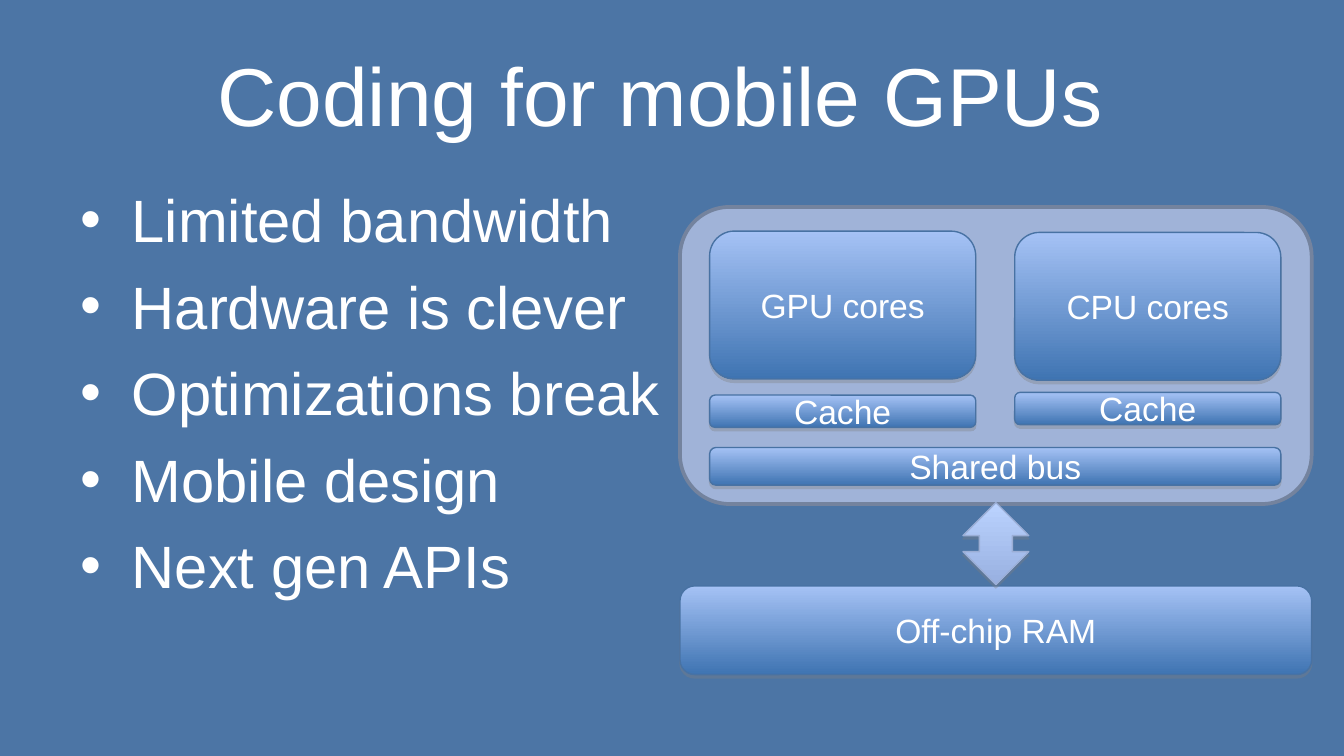
import pptx
import pptx.dml.color
import pptx.enum.shapes
import pptx.enum.text
import pptx.util
import lxml.etree

Inches, Pt = pptx.util.Inches, pptx.util.Pt
Color = pptx.dml.color.RGBColor.from_string
Shape = pptx.enum.shapes.MSO_SHAPE
Text = pptx.enum.text

TITLE = "Coding for mobile GPUs "
BULLETS = ["Limited bandwidth", "Hardware is clever", "Optimizations break",
           "Mobile design", "Next gen APIs"]

CHIP = (5.06, 1.54, 4.7, 2.21)
PADDING, BUS_WIDTH, CORE_WIDTH = 0.22, 4.25, 1.98
LEFT = CHIP[0] + PADDING
RIGHT = LEFT + BUS_WIDTH - CORE_WIDTH
BLOCKS = [
    ("GPU cores", (LEFT, 1.72, CORE_WIDTH, 1.1)),
    ("CPU cores", (RIGHT, 1.73, CORE_WIDTH, 1.1)),
    ("Cache", (LEFT, 2.94, CORE_WIDTH, 0.24)),
    ("Cache", (RIGHT, 2.92, CORE_WIDTH, 0.24)),
    ("Shared bus", (LEFT, 3.33, BUS_WIDTH, 0.28)),
    ("Off-chip RAM", (CHIP[0], 4.36, CHIP[2], 0.66)),
]
ARROW_WIDTH, ARROW_HEIGHT = 0.49, 0.61
ARROW = (CHIP[0] + (CHIP[2] - ARROW_WIDTH) / 2, 3.74, ARROW_WIDTH, ARROW_HEIGHT)

THEME = {
    "font": "Arial", "text": "FFFFFF", "background": "4C75A5",
    "title": 44, "body": 32, "label": 18,
    "chip": (["A0B3D8"], "74839E", 2),
    "block": (["A5C2F5", "3F74B2"], "4872A3", 0.75),
    "arrow": (["BBD3FF", "98B0E0"], "9BAED5", 0.75),
}
SHADOW = (
    '<a:outerShdw xmlns:a="http://schemas.openxmlformats.org/drawingml/2006/main" '
    'blurRad="0" dist="22860" dir="5400000" algn="ctr" rotWithShape="0">'
    '<a:srgbClr val="808080"><a:alpha val="35000"/></a:srgbClr></a:outerShdw>'
)


def place(shape, frame):
    for name, value in zip(("left", "top", "width", "height"), frame):
        setattr(shape, name, Inches(value))


def set_format(target, values):
    for name, value in values.items():
        setattr(target, name, value)


def write(shape, lines, size, anchor, alignment, gap=0, indent=0):
    set_format(shape.text_frame, {"word_wrap": True,
                                  "auto_size": Text.MSO_AUTO_SIZE.NONE,
                                  "vertical_anchor": anchor})
    shape.text_frame.text = "\n".join(lines)
    for index, para in enumerate(shape.text_frame.paragraphs):
        set_format(para, {"space_before": Pt(gap if index else 0),
                          "alignment": alignment})
        if indent:
            properties = para._p.get_or_add_pPr()
            properties.set("marL", str(Inches(indent)))
            properties.set("indent", str(-Inches(indent)))
        for span in para.runs:
            set_format(span.font, {"name": THEME["font"], "size": Pt(size)})
            span.font.color.rgb = Color(THEME["text"])


def add_part(page, kind, frame, style, shadow=True):
    shape = page.shapes.add_shape(kind, *map(Inches, frame))
    colors, line_color, line_width = THEME[style]
    if len(colors) == 1:
        shape.fill.solid()
        shape.fill.fore_color.rgb = Color(colors[0])
    else:
        shape.fill.gradient()
        shape.fill.gradient_angle = 270
        for stop, position, color in zip(shape.fill.gradient_stops, (0, 1), colors):
            stop.position = position
            stop.color.rgb = Color(color)
    shape.line.color.rgb = Color(line_color)
    shape.line.width = Pt(line_width)
    shape.shadow.inherit = False
    if shadow:
        effects = shape._element.spPr.find(pptx.oxml.ns.qn("a:effectLst"))
        effects.append(lxml.etree.fromstring(SHADOW))
    return shape


def main():
    deck = pptx.Presentation()
    deck.slide_width = Inches(10)
    deck.slide_height = deck.slide_width * 9 // 16
    page = deck.slides.add_slide(deck.slide_layouts[1])
    page.background.fill.solid()
    page.background.fill.fore_color.rgb = Color(THEME["background"])

    top, middle = Text.MSO_ANCHOR.TOP, Text.MSO_ANCHOR.MIDDLE
    left, center = Text.PP_ALIGN.LEFT, Text.PP_ALIGN.CENTER
    title, body = page.placeholders
    place(title, (0.5, 0.23, 9, 0.94))
    write(title, [TITLE], THEME["title"], middle, center)
    place(body, (0.5, 1.31, 9, 3.71))
    write(body, BULLETS, THEME["body"], top, left, gap=8, indent=0.38)

    add_part(page, Shape.ROUNDED_RECTANGLE, CHIP, "chip", shadow=False)
    for label, frame in BLOCKS:
        block = add_part(page, Shape.ROUNDED_RECTANGLE, frame, "block")
        write(block, [label], THEME["label"], middle, center)
    add_part(page, Shape.UP_DOWN_ARROW, ARROW, "arrow")

    deck.save("out.pptx")


if __name__ == "__main__":
    main()
